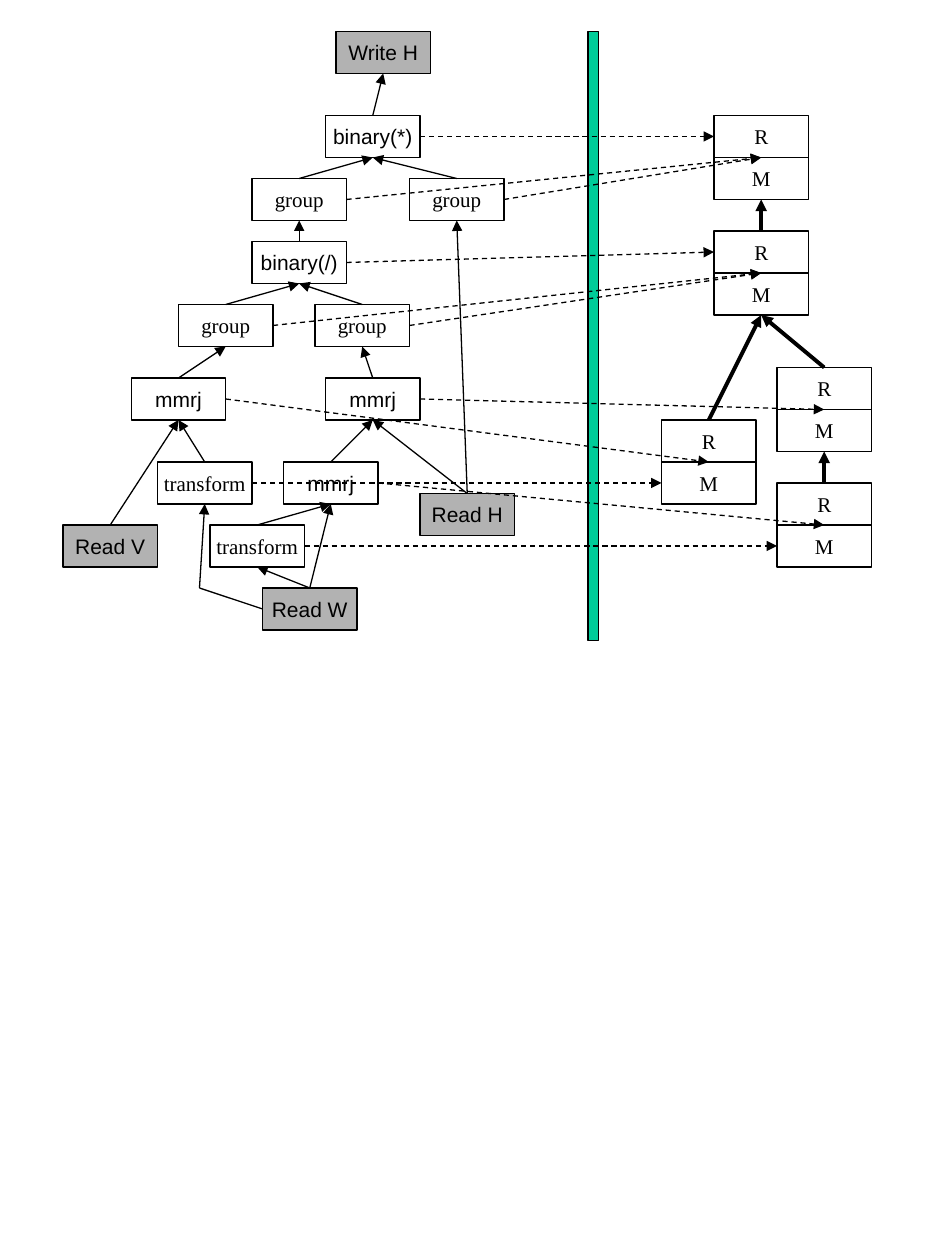
from lxml import etree
from pptx import Presentation
from pptx.dml.color import RGBColor
from pptx.enum.dml import MSO_LINE
from pptx.enum.shapes import MSO_CONNECTOR, MSO_SHAPE
from pptx.enum.text import MSO_ANCHOR, PP_ALIGN
from pptx.oxml.ns import qn
from pptx.util import Pt

RECTANGLE = MSO_SHAPE.RECTANGLE
STRAIGHT = MSO_CONNECTOR.STRAIGHT
DASH = MSO_LINE.DASH
MIDDLE = MSO_ANCHOR.MIDDLE
CENTER = PP_ALIGN.CENTER

BLACK = RGBColor(0x00, 0x00, 0x00)
GRAY = RGBColor(0xB2, 0xB2, 0xB2)
GREEN = RGBColor(0x00, 0xCC, 0x99)
SANS, SERIF = "Arial", "Times New Roman"

BOX_W, BOX_H = 54, 24
THIN, THICK = 0.75, 2.25
TOP, LEFT, BOTTOM, RIGHT = range(4)  # connection sites of a rectangle

# key: (label, left, top, font, fill)
OPERATORS = {
    "write H": ("Write H", 192, 18, SANS, GRAY),
    "multiply": ("binary(*)", 186, 66, SANS, None),
    "group product": ("group", 144, 102, SERIF, None),
    "group H": ("group", 234, 102, SERIF, None),
    "divide": ("binary(/)", 144, 138, SANS, None),
    "group V": ("group", 102, 174, SERIF, None),
    "group WH": ("group", 180, 174, SERIF, None),
    "join V": ("mmrj", 75, 216, SANS, None),
    "join H": ("mmrj", 186, 216, SANS, None),
    "transform V": ("transform", 90, 264, SERIF, None),
    "join W": ("mmrj", 162, 264, SANS, None),
    "transform W": ("transform", 120, 300, SERIF, None),
    "read H": ("Read H", 240, 282, SANS, GRAY),
    "read V": ("Read V", 36, 300, SANS, GRAY),
    "read W": ("Read W", 150, 336, SANS, GRAY),
}
# Each job is a reduce box on top of a map box: (left, top)
JOBS = {
    "job multiply": (408, 66),
    "job divide": (408, 132),
    "job V": (378, 240),
    "job H": (444, 210),
    "job W": (444, 276),
}
DIVIDER = (336, 18, 6, 348)

DATA_FLOW = [
    ("multiply", "write H"),
    ("group product", "multiply"), ("group H", "multiply"),
    ("divide", "group product"), ("read H", "group H"),
    ("group V", "divide"), ("group WH", "divide"),
    ("join V", "group V"), ("join H", "group WH"),
    ("read V", "join V"), ("transform V", "join V"),
    ("join W", "join H"), ("read H", "join H"),
    ("transform W", "join W"), ("read W", "join W"),
    ("read W", "transform W"),
]
JOB_FLOW = [
    ("job divide", "job multiply"), ("job V", "job divide"),
    ("job H", "job divide"), ("job W", "job H"),
]
# (operator, job, part of the job, side of that part)
MAPPING = [
    ("multiply", "job multiply", "R", LEFT),
    ("group product", "job multiply", "R", BOTTOM),
    ("group H", "job multiply", "R", BOTTOM),
    ("divide", "job divide", "R", LEFT),
    ("group V", "job divide", "R", BOTTOM),
    ("group WH", "job divide", "R", BOTTOM),
    ("join V", "job V", "R", BOTTOM),
    ("transform V", "job V", "M", LEFT),
    ("join H", "job H", "R", BOTTOM),
    ("join W", "job W", "R", BOTTOM),
    ("transform W", "job W", "M", LEFT),
]
DETOUR = (114, 336)  # corner on the way from read W to transform V

prs = Presentation()
prs.slide_width, prs.slide_height = Pt(540), Pt(720)
slide = prs.slides.add_slide(prs.slide_layouts[6])


def add_rect(left, top, width, height, fill):
    rect = slide.shapes.add_shape(RECTANGLE, Pt(left), Pt(top), Pt(width), Pt(height))
    rect.shadow.inherit = False
    if fill is None:
        rect.fill.background()
    else:
        rect.fill.solid()
        rect.fill.fore_color.rgb = fill
    rect.line.color.rgb = BLACK
    rect.line.width = Pt(THIN)
    return rect


def add_box(label, left, top, font, fill):
    box = add_rect(left, top, BOX_W, BOX_H, fill)
    frame = box.text_frame
    frame.word_wrap = False
    frame.vertical_anchor = MIDDLE
    paragraph = frame.paragraphs[0]
    paragraph.alignment = CENTER
    run = paragraph.add_run()
    run.text = label
    run.font.name = font
    run.font.size = Pt(12)
    run.font.color.rgb = BLACK
    return box


def add_line(start, end, width=THIN, dash=None, arrow=True):
    """Join two ends, each a (box, side) pair or an (x, y) point."""
    line = slide.shapes.add_connector(STRAIGHT, 0, 0, 0, 0)
    if isinstance(start[0], int):
        line.begin_x, line.begin_y = Pt(start[0]), Pt(start[1])
    else:
        line.begin_connect(*start)
    if isinstance(end[0], int):
        line.end_x, line.end_y = Pt(end[0]), Pt(end[1])
    else:
        line.end_connect(*end)
    line.line.color.rgb = BLACK
    line.line.width = Pt(width)
    if dash is not None:
        line.line.dash_style = dash
    if arrow:
        etree.SubElement(line.line._get_or_add_ln(), qn("a:tailEnd"), type="triangle")
    etree.SubElement(line._element.spPr, qn("a:effectLst"))


boxes = {key: add_box(*operator) for key, operator in OPERATORS.items()}
for job, (left, top) in JOBS.items():
    for row, part in enumerate("RM"):
        boxes[job, part] = add_box(part, left, top + row * BOX_H, SERIF, None)
add_rect(*DIVIDER, GREEN)

for source, target in DATA_FLOW:
    add_line((boxes[source], TOP), (boxes[target], BOTTOM))
add_line((boxes["read W"], LEFT), DETOUR, arrow=False)
add_line(DETOUR, (boxes["transform V"], BOTTOM))
for source, target in JOB_FLOW:
    add_line((boxes[source, "R"], TOP), (boxes[target, "M"], BOTTOM), width=THICK)
for operator, job, part, side in MAPPING:
    add_line((boxes[operator], RIGHT), (boxes[job, part], side), dash=DASH)

prs.save("out.pptx")
